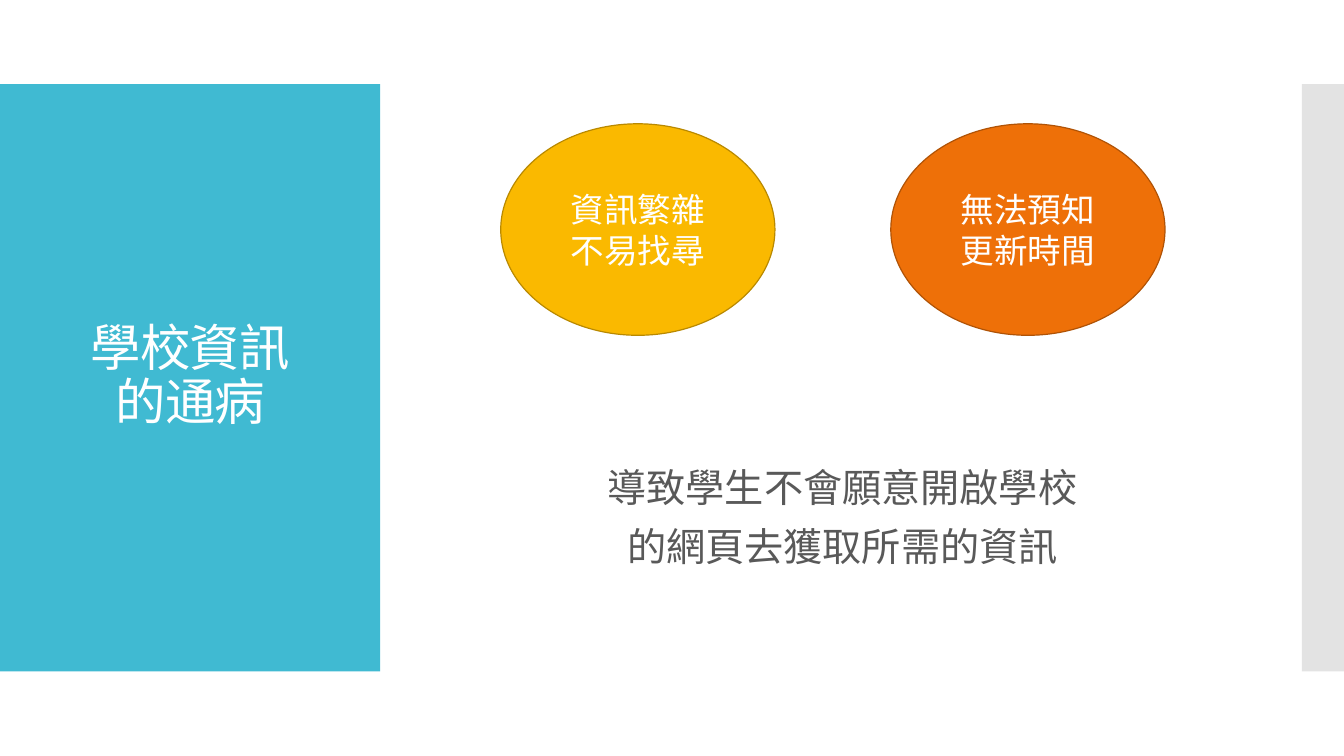
from dataclasses import dataclass

import lxml.etree
import pptx
import pptx.dml.color
import pptx.enum.shapes
import pptx.enum.text
import pptx.oxml.ns
import pptx.shapes.autoshape
import pptx.slide
import pptx.util

Cm = pptx.util.Cm
Pt = pptx.util.Pt
RGBColor = pptx.dml.color.RGBColor
MSO_SHAPE = pptx.enum.shapes.MSO_SHAPE

FONT = "Calibri"
WHITE = RGBColor(0xFF, 0xFF, 0xFF)
GREY_TEXT = RGBColor(0x59, 0x59, 0x59)
TEAL = RGBColor(0x40, 0xBA, 0xD2)
GREY = RGBColor(0xC8, 0xC8, 0xC8)
YELLOW = RGBColor(0xFA, 0xB9, 0x00)
DARK_YELLOW = RGBColor(0xB9, 0x89, 0x00)
ORANGE = RGBColor(0xEE, 0x70, 0x08)
DARK_ORANGE = RGBColor(0xB0, 0x53, 0x06)

SLIDE_W, SLIDE_H = 33.87, 19.05
BAND_TOP, BAND_H = 2.12, 14.8
EDGE_W = 1.06
OVAL_LEFT, OVAL_TOP, OVAL_PITCH = 12.62, 3.12, 9.9
OVAL_W, OVAL_H = 6.91, 5.33
OVAL_PITCH = 9.83


@dataclass(frozen=True)
class Box:
    left: float
    top: float
    width: float
    height: float

    def emu(self) -> tuple[int, int, int, int]:
        return Cm(self.left), Cm(self.top), Cm(self.width), Cm(self.height)


@dataclass(frozen=True)
class Problem:
    text: str
    fill: RGBColor
    line: RGBColor


PROBLEMS = [
    Problem("資訊繁雜\n不易找尋", YELLOW, DARK_YELLOW),
    Problem("無法預知\n更新時間", ORANGE, DARK_ORANGE),
]


def write_text(
    sp: pptx.shapes.autoshape.Shape,
    text: str,
    *,
    size: float,
    color: RGBColor = WHITE,
    line_spacing: float = 1.0,
    space_before: float = 0,
    tracking: float = 0,
) -> None:
    tf = sp.text_frame
    tf.word_wrap = True
    tf.vertical_anchor = pptx.enum.text.MSO_ANCHOR.MIDDLE
    tf.text = text
    for p in tf.paragraphs:
        p.alignment = pptx.enum.text.PP_ALIGN.CENTER
        p.line_spacing = line_spacing
        p.space_before = Pt(space_before)
        for r in p.runs:
            r.font.name = FONT
            r.font.size = Pt(size)
            r.font.color.rgb = color
            if tracking:
                r.font._element.set("spc", str(round(tracking * 100)))


def add_filled(
    s: pptx.slide.Slide,
    kind: MSO_SHAPE,
    box: Box,
    fill: RGBColor,
    line: RGBColor | None = None,
    opacity: int = 100,
) -> pptx.shapes.autoshape.Shape:
    sp = s.shapes.add_shape(kind, *box.emu())
    sp.shadow.inherit = False
    sp.fill.solid()
    sp.fill.fore_color.rgb = fill
    if opacity < 100:
        clr = sp._element.spPr.find(".//" + pptx.oxml.ns.qn("a:srgbClr"))
        alpha = lxml.etree.SubElement(clr, pptx.oxml.ns.qn("a:alpha"))
        alpha.set("val", str(opacity * 1000))
    if line is None:
        sp.line.fill.background()
    else:
        sp.line.color.rgb = line
        sp.line.width = Pt(0.85)
    return sp


def main() -> None:
    prs = pptx.Presentation()
    prs.slide_width, prs.slide_height = Cm(SLIDE_W), Cm(SLIDE_H)
    s = prs.slides.add_slide(prs.slide_layouts[6])

    add_filled(s, MSO_SHAPE.RECTANGLE, Box(0, BAND_TOP, 9.58, BAND_H), TEAL)
    edge = Box(SLIDE_W - EDGE_W, BAND_TOP, EDGE_W, BAND_H)
    add_filled(s, MSO_SHAPE.RECTANGLE, edge, GREY, opacity=50)

    title = s.shapes.add_textbox(*Box(0.71, 3.12, 8.18, 12.78).emu())
    write_text(title, "學校資訊\v的通病", size=36, line_spacing=0.9, tracking=-0.6)

    for i, problem in enumerate(PROBLEMS):
        box = Box(OVAL_LEFT + i * OVAL_PITCH, OVAL_TOP, OVAL_W, OVAL_H)
        sp = add_filled(s, MSO_SHAPE.OVAL, box, problem.fill, problem.line)
        write_text(sp, problem.text, size=24)

    result = s.shapes.add_textbox(*Box(11.07, 10.69, 20.32, 4.78).emu())
    write_text(
        result,
        "導致學生不會願意開啟學校\n的網頁去獲取所需的資訊",
        size=28,
        color=GREY_TEXT,
        line_spacing=0.9,
        space_before=12,
    )

    prs.save("out.pptx")


if __name__ == "__main__":
    main()
